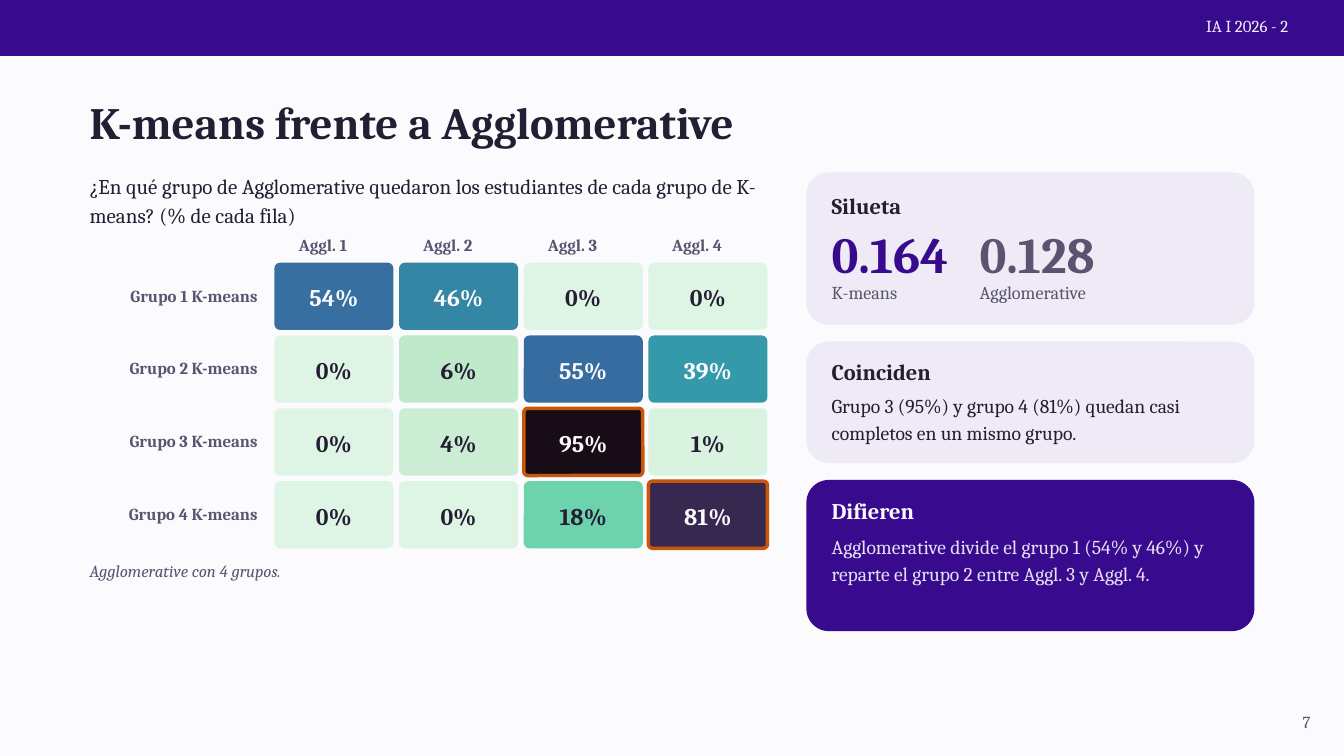
import pptx
import pptx.dml.color
import pptx.enum.shapes
import pptx.enum.text
import pptx.util
from dataclasses import dataclass

Pt = pptx.util.Pt
Align = pptx.enum.text.PP_ALIGN
Anchor = pptx.enum.text.MSO_ANCHOR
Kind = pptx.enum.shapes.MSO_SHAPE

FONT = "Cambria"
HUES = {
    "page": "FBFAFD", "brand": "380A8E", "ink": "241E33", "muted": "5A5470",
    "panel": "EEEAF6", "mark": "C9560A", "top": "F3EFFA", "soft": "E6E0F3",
}
# Heat scale: share in percent to fill
HEAT = {
    0: "DEF5E5", 1: "DAF3E1", 4: "CAEDD4", 6: "C0E9CC", 18: "6DD3AD",
    39: "349AAA", 46: "3486A5", 54: "366FA0", 55: "366CA0", 81: "37284F",
    95: "180D16",
}
SHARES = [[54, 46, 0, 0], [0, 6, 55, 39], [0, 4, 95, 1], [0, 0, 18, 81]]
LIGHT_FROM = 39   # white text from this share on
MARK_FROM = 80    # outlined from this share on


@dataclass
class Box:
    left: float
    top: float
    width: float
    height: float


@dataclass
class Card:
    title: str
    body: str
    height: float
    pad: float
    drop: float
    fill: str
    head: str
    ink: str


def tint(code: str) -> pptx.dml.color.RGBColor:
    return pptx.dml.color.RGBColor.from_string(code)


def write(frame, text: str, *, size: float, lead: float, hue: str = "ink",
          bold: bool = False, slant: bool = False, align=Align.LEFT,
          anchor=Anchor.TOP, pads: tuple = (0, 0, 0, 0)) -> None:
    frame.word_wrap = True
    frame.vertical_anchor = anchor
    (frame.margin_left, frame.margin_top,
     frame.margin_right, frame.margin_bottom) = map(Pt, pads)
    line = frame.paragraphs[0]
    line.alignment = align
    line.line_spacing = Pt(lead)
    run = line.add_run()
    run.text = text
    font = run.font
    font.name, font.size = FONT, Pt(size)
    font.bold, font.italic = bold, slant
    font.color.rgb = tint(HUES[hue])


def label(slide, text: str, box: Box, **style) -> None:
    shape = slide.shapes.add_textbox(
        Pt(box.left), Pt(box.top), Pt(box.width), Pt(box.height))
    write(shape.text_frame, text, **style)


def block(slide, box: Box, fill: str, curve: float = 0, edge: str = ""):
    kind = Kind.ROUNDED_RECTANGLE if curve else Kind.RECTANGLE
    shape = slide.shapes.add_shape(
        kind, Pt(box.left), Pt(box.top), Pt(box.width), Pt(box.height))
    shape.shadow.inherit = False
    if curve:
        shape.adjustments[0] = curve / min(box.width, box.height)
    shape.fill.solid()
    shape.fill.fore_color.rgb = tint(fill)
    if edge:
        shape.line.color.rgb = tint(edge)
        shape.line.width = Pt(3.75)
    else:
        shape.line.fill.background()
    return shape


def draw_heat(slide) -> None:
    left, top, step, rise = 294, 281.5, 133.6, 78
    names = dict(size=18, lead=24.3, hue="muted", bold=True)
    # Column heads
    for col in range(4):
        label(slide, f"Aggl. {col + 1}",
              Box(279.4 + col * step, 249.1, step, 29.5),
              align=Align.CENTER, **names)
    # Rows with their labels
    for row, shares in enumerate(SHARES):
        y = top + row * rise
        label(slide, f"Grupo {row + 1} K-means", Box(90, y + 21.6, 186, 29.5),
              align=Align.RIGHT, **names)
        for col, share in enumerate(shares):
            mark = share >= MARK_FROM
            cell = block(slide, Box(left + col * step, y, 127.5, 72),
                         HEAT[share], curve=4.2 if mark else 6,
                         edge=HUES["mark"] if mark else "")
            write(cell.text_frame, f"{share}%", size=25.5, lead=34.4,
                  hue="page" if share >= LIGHT_FROM else "ink", bold=True,
                  align=Align.CENTER, anchor=Anchor.MIDDLE,
                  pads=(4.5, 4.5, 4.5, 6.5))


def draw_cards(slide) -> None:
    cards = [
        Card("Silueta", "", 163.1, 21, 0, "panel", "ink", "ink"),
        Card("Coinciden", "Grupo 3 (95%) y grupo 4 (81%) quedan casi "
             "completos en un mismo grupo.",
             130.3, 18, 53.2, "panel", "ink", "ink"),
        Card("Difieren", "Agglomerative divide el grupo 1 (54% y 46%) y "
             "reparte el grupo 2 entre Aggl. 3 y Aggl. 4.",
             162, 18, 56.2, "brand", "page", "soft"),
    ]
    left, top, gap = 891, 184.8, 18
    for card in cards:
        block(slide, Box(864, top, 480, card.height), HUES[card.fill], curve=24)
        label(slide, card.title, Box(left, top + card.pad, 438.5, 31.7),
              size=24, lead=28.8, hue=card.head, bold=True)
        if card.body:
            label(slide, card.body,
                  Box(left, top + card.drop, 438.5, card.height - card.drop - 15),
                  size=21, lead=28.4, hue=card.ink)
        top += card.height + gap
    # Scores in the first card
    scores = [("0.164", "K-means", left, "brand"),
              ("0.128", "Agglomerative", 1049.5, "muted")]
    for score, name, x, hue in scores:
        label(slide, score, Box(x, 241.2, 154, 63.4),
              size=54, lead=62.1, hue=hue, bold=True)
        label(slide, name, Box(x, 298.1, 157, 31.7),
              size=19.5, lead=26.3, hue="muted")


def main() -> None:
    deck = pptx.Presentation()
    deck.slide_width, deck.slide_height = Pt(1440), Pt(810)
    slide = deck.slides.add_slide(deck.slide_layouts[6])
    slide.background.fill.solid()
    slide.background.fill.fore_color.rgb = tint(HUES["page"])

    # Top band and headings
    block(slide, Box(0, 0, 1440, 60), HUES["brand"])
    label(slide, "IA I 2026 - 2", Box(1071.4, 14.4, 308.9, 29.5),
          size=18, lead=24.3, hue="top", align=Align.RIGHT)
    label(slide, "K-means frente a Agglomerative", Box(96, 105.8, 1285, 51.8),
          size=48, lead=52.8, bold=True)
    label(slide, "¿En qué grupo de Agglomerative quedaron los estudiantes de "
          "cada grupo de K-means? (% de cada fila)",
          Box(96, 182.9, 748, 66.2), size=22.5, lead=30.4)

    draw_heat(slide)
    draw_cards(slide)

    # Footnote and page number
    label(slide, "Agglomerative con 4 grupos.", Box(96, 597.6, 748, 24.5),
          size=18, lead=24.3, hue="muted", slant=True)
    label(slide, "7", Box(1337.8, 759.6, 66.2, 29.5),
          size=18, lead=24.3, hue="muted", align=Align.RIGHT)
    deck.save("out.pptx")


if __name__ == "__main__":
    main()
